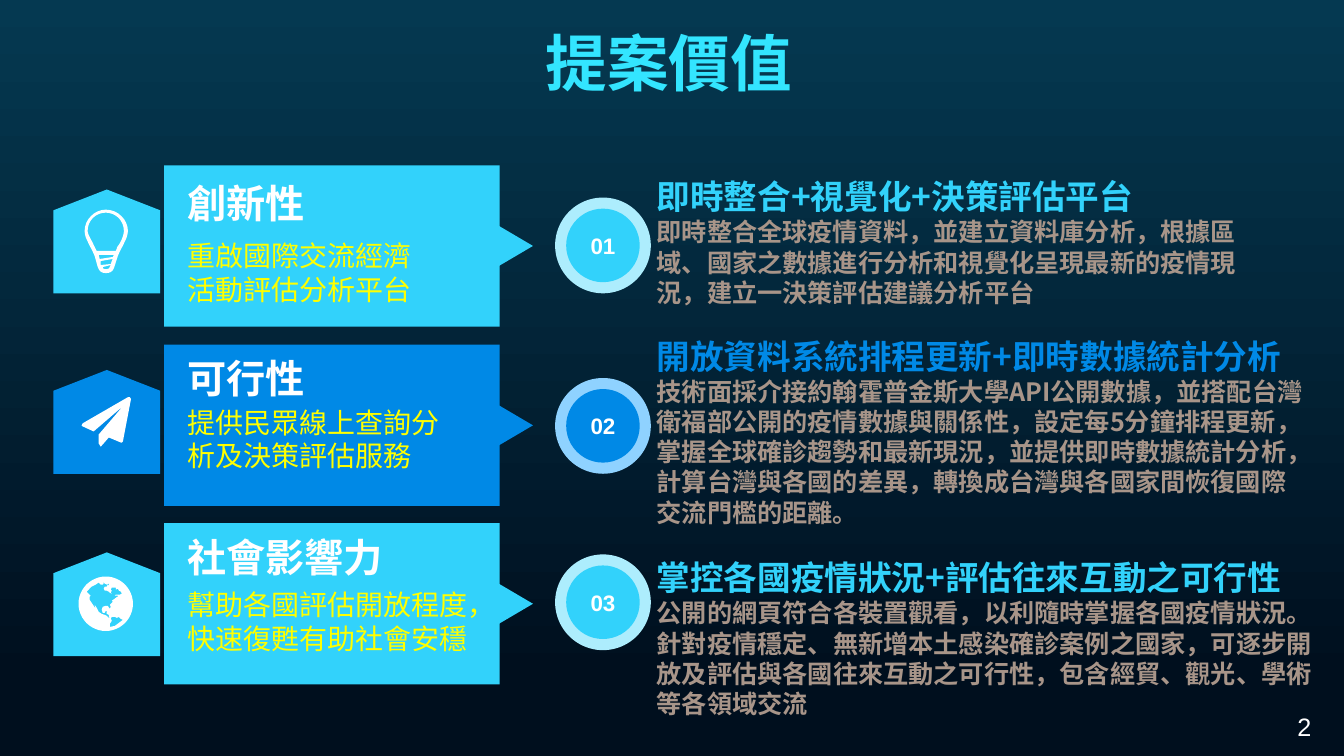
from dataclasses import dataclass
from math import cos, pi, sin

from lxml.etree import SubElement
from pptx import Presentation
from pptx.dml.color import RGBColor
from pptx.enum.shapes import MSO_SHAPE
from pptx.enum.text import MSO_ANCHOR, PP_ALIGN
from pptx.oxml.ns import qn
from pptx.util import Inches, Pt

CYAN, BLUE, WHITE, YELLOW, TAUPE = "32D2FB", "0089E6", "FFFFFF", "FFFF00", "A89589"
CJK = "Noto Sans CJK SC"


def color(value):
    return RGBColor.from_string(value)


def curve(start, *segments):
    points = [start]
    for first, second, end in segments:
        origin = points[-1]
        for step in range(1, 9):
            t = step / 8
            weights = ((1 - t) ** 3, 3 * t * (1 - t) ** 2, 3 * t * t * (1 - t), t ** 3)
            corners = (origin, first, second, end)
            points.append(tuple(sum(w * corner[axis] for w, corner in zip(weights, corners))
                                for axis in (0, 1)))
    return points


@dataclass
class ValueSlide:
    slide: object
    font: str = CJK

    def background(self, top, bottom):
        fill = self.slide.background.fill
        fill.gradient()
        fill.gradient_angle = 270
        for stop, value, position in zip(fill.gradient_stops, (top, bottom), (0, 0.9)):
            stop.color.rgb = color(value)
            stop.position = position

    def paint(self, shape, value):
        shape.shadow.inherit = False
        shape.fill.solid()
        shape.fill.fore_color.rgb = color(value)
        shape.line.fill.background()

    def shape(self, kind, left, top, width, height, fill, rotation=0):
        shape = self.slide.shapes.add_shape(
            kind, Inches(left), Inches(top), Inches(width), Inches(height))
        shape.rotation = rotation
        self.paint(shape, fill)
        return shape

    def style(self, paragraph, size, value, bold=False, align=PP_ALIGN.LEFT, name=None):
        paragraph.alignment = align
        font = paragraph.font
        font.size, font.bold = Pt(size), bold
        font.color.rgb = color(value)
        font.name = name or self.font
        properties = paragraph._p.get_or_add_pPr().find(qn("a:defRPr"))
        SubElement(properties, qn("a:ea")).set("typeface", font.name)

    def text(self, left, top, width, height, lines, inset=True, anchor=MSO_ANCHOR.TOP):
        box = self.slide.shapes.add_textbox(
            Inches(left), Inches(top), Inches(width), Inches(height))
        frame = box.text_frame
        frame.word_wrap = True
        frame.vertical_anchor = anchor
        if not inset:
            frame.margin_left = frame.margin_right = 0
            frame.margin_top = frame.margin_bottom = 0
        for index, (words, *style) in enumerate(lines):
            paragraph = frame.add_paragraph() if index else frame.paragraphs[0]
            paragraph.text = words
            self.style(paragraph, *style)

    def badge(self, top, label, ring, fill):
        self.shape(MSO_SHAPE.OVAL, 5.51, top, 0.95, 0.95, ring)
        disc = self.shape(MSO_SHAPE.OVAL, 5.62, top + 0.11, 0.73, 0.73, fill)
        frame = disc.text_frame
        frame.vertical_anchor = MSO_ANCHOR.MIDDLE
        frame.text = label
        self.style(frame.paragraphs[0], 16, WHITE, True, PP_ALIGN.CENTER, "Arial")

    def icon(self, contours):
        scaled = [[(x * 10, y * 10) for x, y in contour] for contour in contours]
        builder = self.slide.shapes.build_freeform(*scaled[0][0], scale=Inches(1) / 1000)
        for index, contour in enumerate(scaled):
            if index:
                builder.move_to(*contour[0])
            builder.add_line_segments(contour[1:], close=True)
        self.paint(builder.convert_to_shape(), WHITE)


BULB = [
    curve((105, 208), ((94, 208), (84, 218), (84, 229)), ((84, 237), (91, 246), (94, 254)),
          ((97, 264), (97, 271), (105, 271)), ((114, 271), (113, 265), (117, 254)),
          ((120, 246), (127, 237), (127, 229)), ((127, 218), (117, 208), (105, 208))),
    [(110, 262), (100, 263), (100, 259), (112, 257), (111, 259)],
    [(99, 257), (98, 253), (113, 253), (112, 255)],
    curve((105, 267), ((104, 267), (102, 267), (102, 265)), ((102, 265), (110, 263), (110, 263)),
          ((108, 267), (108, 267), (105, 267))),
    curve((115, 249), ((115, 249), (96, 249), (96, 249)), ((95, 247), (94, 245), (93, 243)),
          ((91, 238), (87, 233), (87, 229)), ((87, 219), (95, 211), (105, 211)),
          ((115, 211), (123, 219), (123, 229)), ((123, 233), (121, 238), (118, 243)),
          ((116, 245), (116, 247), (115, 249))),
]
PLANE = [[
    (130, 396), (122, 438), (121, 439), (120, 439), (108, 434), (101, 442), (100, 443),
    (98, 440), (98, 431), (122, 403), (93, 428), (82, 423), (81, 422), (82, 420),
    (127, 394), (129, 394),
]]
GLOBE = [
    [(105 + 27 * cos(pi * step / 24), 599 + 27 * sin(pi * step / 24)) for step in range(48)],
    [(114, 591), (115, 590), (119, 590), (121, 589), (120, 587), (118, 586), (117, 584),
     (115, 585), (115, 583), (111, 583), (110, 585), (111, 586), (110, 588), (111, 589),
     (109, 588), (108, 587), (106, 586), (104, 586), (103, 584), (104, 582), (106, 582),
     (107, 580), (108, 581), (108, 579), (106, 580), (104, 579), (103, 578), (102, 578),
     (103, 579), (102, 580), (100, 580), (98, 578), (95, 580), (91, 582), (86, 587),
     (88, 589), (90, 591), (89, 592), (89, 595), (91, 598), (93, 601), (95, 604),
     (94, 600), (96, 603), (98, 607), (101, 609), (104, 610), (106, 611), (108, 613),
     (110, 614), (108, 612), (108, 610), (106, 609), (106, 606), (105, 606), (104, 608),
     (102, 608), (101, 605), (102, 602), (105, 601), (107, 601), (109, 604), (110, 602),
     (109, 600), (112, 597), (111, 596), (114, 594), (115, 593), (117, 592), (117, 591)],
    [(122, 615), (120, 614), (118, 612), (116, 613), (114, 612), (112, 612), (110, 613),
     (111, 616), (109, 619), (109, 622), (114, 621), (118, 618)],
]


@dataclass
class Value:
    title: str
    summary: str
    heading: str
    detail: str
    fill: str
    ring: str
    icon: list
    card_top: float
    title_top: float
    summary_top: float
    summary_width: float
    house_top: float
    badge_top: float
    detail_box: tuple


VALUES = [
    Value("創新性", "重啟國際交流經濟活動評估分析平台", "即時整合+視覺化+決策評估平台",
          "即時整合全球疫情資料，並建立資料庫分析，根據區域、國家之數據進行分析和視覺化呈現最新的疫情現況，建立一決策評估建議分析平台",
          CYAN, "ADEDFD", BULB, 1.64, 1.78, 2.37, 2.44, 1.88, 1.96, (1.7, 6.14, 1.41)),
    Value("可行性", "提供民眾線上查詢分析及決策評估服務", "開放資料系統排程更新+即時數據統計分析",
          "技術面採介接約翰霍普金斯大學API公開數據，並搭配台灣衛福部公開的疫情數據與關係性，設定每5分鐘排程更新，掌握全球確診趨勢和最新現況，並提供即時數據統計分析，計算台灣與各國的差異，轉換成台灣與各國家間恢復國際交流門檻的距離。",
          BLUE, "8FD2FF", PLANE, 3.42, 3.51, 4.02, 2.76, 3.67, 3.75, (3.28, 6.63, 2.02)),
    Value("社會影響力", "幫助各國評估開放程度，快速復甦有助社會安穩", "掌控各國疫情狀況+評估往來互動之可行性",
          "公開的網頁符合各裝置觀看，以利隨時掌握各國疫情狀況。針對疫情穩定、無新增本土感染確診案例之國家，可逐步開放及評估與各國往來互動之可行性，包含經貿、觀光、學術等各領域交流",
          CYAN, "ADEDFD", GLOBE, 5.19, 5.29, 5.83, 2.93, 5.48, 5.5, (5.48, 6.91, 1.72)),
]


def main():
    presentation = Presentation()
    presentation.slide_width, presentation.slide_height = Inches(13.34), Inches(7.5)
    page = ValueSlide(presentation.slides.add_slide(presentation.slide_layouts[6]))
    page.background("053951", "000F1E")
    page.text(2.78, 0.2, 7.72, 0.84, [("提案價值", 44, "33E5FF", True, PP_ALIGN.CENTER)])
    for number, value in enumerate(VALUES, 1):
        page.shape(MSO_SHAPE.RECTANGLE, 1.63, value.card_top, 3.33, 1.6, value.fill)
        page.shape(MSO_SHAPE.ISOSCELES_TRIANGLE, 4.92, value.card_top + 0.63, 0.4, 0.34,
                   value.fill, 90)
        page.text(1.86, value.title_top, 2.9, 0.47, [(value.title, 28, WHITE, True)],
                  False, MSO_ANCHOR.MIDDLE)
        page.text(1.86, value.summary_top, value.summary_width, 0.67,
                  [(value.summary, 20, YELLOW)], False)
        page.shape(MSO_SHAPE.FLOWCHART_OFFPAGE_CONNECTOR, 0.53, value.house_top, 1.06, 1.03,
                   value.fill, 180)
        page.icon(value.icon)
        page.badge(value.badge_top, f"{number:02}", value.ring, value.fill)
        top, width, height = value.detail_box
        page.text(6.42, top, width, height,
                  [(value.heading, 24, value.fill, True), (value.detail, 18, TAUPE, True)])
    page.text(12.78, 7.01, 0.56, 0.4, [("2", 18, WHITE, False, PP_ALIGN.LEFT, "Arial")])
    presentation.save("out.pptx")


if __name__ == "__main__":
    main()
